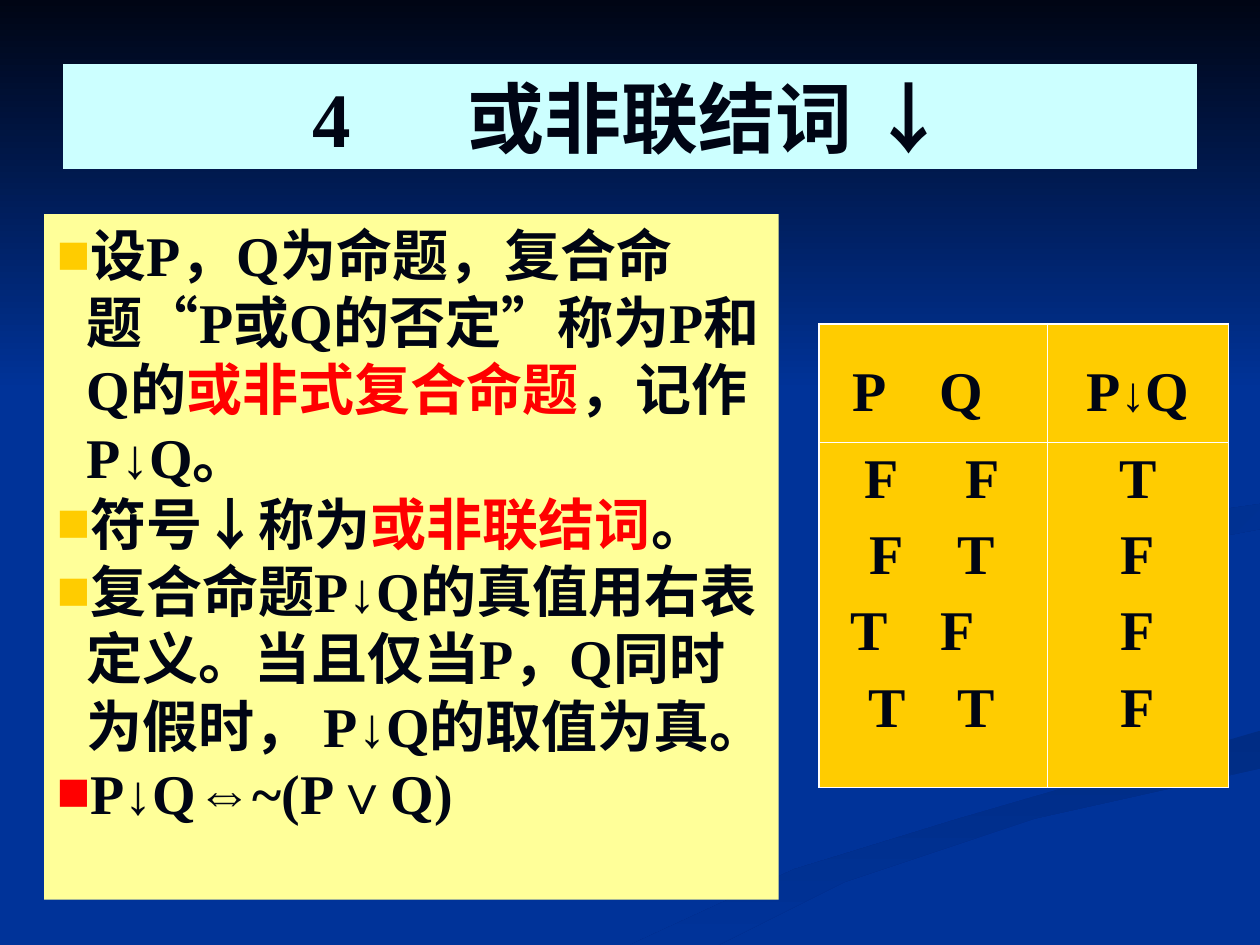
"""Build a slide that defines the NOR connective with its truth table."""
from lxml import etree
from pptx import Presentation
from pptx import util as u
from pptx.dml.color import RGBColor
from pptx.enum import text as t
from pptx.oxml import ns

CELL = u.Inches(0.1)
COLS, ROWS = 100, 75
SERIF, SANS = "Times New Roman", "Arial"
BLUE = RGBColor(0x00, 0x33, 0x99)
DEEP = RGBColor(0x00, 0x2C, 0x84)
INK = RGBColor(0x00, 0x05, 0x14)
RED = RGBColor(0xFF, 0x00, 0x00)
GOLD = RGBColor(0xFF, 0xCC, 0x00)
CREAM = RGBColor(0xFF, 0xFF, 0x99)
ICE = RGBColor(0xCC, 0xFF, 0xFF)
WHITE = RGBColor(0xFF, 0xFF, 0xFF)

BANDS = [
    (DEEP, 90, [(50, 75), (57, 75), (67, 70), (82, 65), (100, 61),
                (100, 58), (76, 65), (63, 69)]),
    (DEEP, 45, [(78, 46), (83, 50), (81, 47), (84, 45), (100, 42),
                (100, 40), (86, 42)]),
    (INK, 90, [(0, 0), (COLS, 0), (COLS, 31), (0, 31)]),
]

POINTS = [
    (GOLD, [("设P，Q为命题，复合命题“P或Q的否定”称为P和Q的", INK, SERIF),
            ("或非式复合命题", RED, SERIF), ("，记作P↓Q。", INK, SERIF)]),
    (GOLD, [("符号↓称为", INK, SERIF), ("或非联结词", RED, SERIF),
            ("。", INK, SERIF)]),
    (GOLD, [("复合命题P↓Q的真值用右表定义。当且仅当P，Q同时为假时，"
             " P↓Q的取值为真。", INK, SERIF)]),
    (RED, [("P↓Q", INK, SERIF), ("⇔", INK, SANS), ("~(P∨Q)", INK, SERIF)]),
]

INPUTS = [("F", "F", 4, 12), ("F", "T", 4.4, 11.5),
          ("T", "F", 3, 10), ("T", "T", 4.4, 11.5)]


def grid(num):
    """Turn grid cells into a length."""
    return u.Emu(round(num * CELL))


def child(node, tag, **attrs):
    """Append a drawing element with attributes."""
    item = etree.SubElement(node, ns.qn(tag))
    for key, val in attrs.items():
        item.set(key, str(val))
    return item


def write(para, words, color=INK, face=SERIF, size=32):
    """Add one bold run to a paragraph."""
    run = para.add_run()
    run.text = words
    font = run.font
    font.name, font.size, font.bold = face, u.Pt(size), True
    font.color.rgb = color
    return run


def band(slide, color, angle, spots):
    """Draw one background band that blends into the blue."""
    spots = [(grid(x), grid(y)) for x, y in spots]
    pen = slide.shapes.build_freeform(*spots[0], scale=1.0)
    pen.add_line_segments(spots[1:], close=True)
    shape = pen.convert_to_shape()
    shape.shadow.inherit = False
    shape.line.fill.background()
    shape.fill.gradient()
    shape.fill.gradient_angle = 360 - angle
    for place, stop in enumerate(shape.fill.gradient_stops):
        stop.color.rgb = BLUE if place else color
        stop.position = place


def panel(shape, color, box, anchor):
    """Place a filled placeholder in front and return its text frame."""
    shape.left, shape.top, shape.width, shape.height = map(grid, box)
    shape.fill.solid()
    shape.fill.fore_color.rgb = color
    shape.element.getparent().append(shape.element)
    frame = shape.text_frame
    frame.auto_size = t.MSO_AUTO_SIZE.NONE
    frame.word_wrap = True
    frame.vertical_anchor = anchor
    return frame


def head(shape):
    """Write the slide title."""
    frame = panel(shape, ICE, (5, 5.1, 90, 8.3), t.MSO_ANCHOR.MIDDLE)
    para = frame.paragraphs[0]
    para.alignment = t.PP_ALIGN.CENTER
    write(para, "4", size=44)
    gap = write(para, " ", size=44)
    gap.font._element.set("spc", "5600")
    write(para, "或非联结词 ↓", size=44)


def points(shape):
    """Write the bulleted definition."""
    frame = panel(shape, CREAM, (3.5, 17, 58.3, 54.4), t.MSO_ANCHOR.TOP)
    for row, (color, runs) in enumerate(POINTS):
        para = frame.add_paragraph() if row else frame.paragraphs[0]
        para.space_before = u.Pt(0)
        props = para._p.get_or_add_pPr()
        props.set("marL", str(grid(2.4)))
        props.set("indent", str(-grid(2.4)))
        child(child(props, "a:buClr"), "a:srgbClr", val=color)
        child(props, "a:buFont", typeface=SERIF)
        child(props, "a:buChar", char="■")
        for run in runs:
            write(para, *run)


def pair(para, left, right, first, second):
    """Centre two symbols on tab stops."""
    stops = child(para._p.get_or_add_pPr(), "a:tabLst")
    for place in (first, second):
        child(stops, "a:tab", pos=grid(place), algn="ctr")
    write(para, f"\t{left}\t{right}")


def border(cell, row, col):
    """Give a cell thick outer and thin inner edges, then its fill."""
    props = cell._tc.get_or_add_tcPr()
    outer = {"L": col == 0, "R": col == 1, "T": row == 0, "B": row == 1}
    for side, thick in outer.items():
        line = child(props, f"a:ln{side}", w=u.Pt(1.08 if thick else 0.45))
        child(child(line, "a:solidFill"), "a:srgbClr", val=WHITE)
    cell.fill.solid()
    cell.fill.fore_color.rgb = GOLD


def truth(slide):
    """Build the truth table."""
    table = slide.shapes.add_table(2, 2, *map(grid, (65, 25.7, 32.5, 36.8))).table
    table.first_row = table.horz_banding = False
    for col, wide in enumerate((18.1, 14.4)):
        table.columns[col].width = grid(wide)
    for row, high in enumerate((9.4, 27.4)):
        table.rows[row].height = grid(high)
        for col in range(2):
            border(table.cell(row, col), row, col)
    pair(table.cell(0, 0).text_frame.paragraphs[0], "P", "Q", 3, 10.3)
    para = table.cell(0, 1).text_frame.paragraphs[0]
    para.alignment = t.PP_ALIGN.CENTER
    for words, size in (("P", 32), ("↓", 28), ("Q", 32)):
        write(para, words, size=size)
    for col in range(2):
        table.cell(0, col).text_frame.paragraphs[0].line_spacing = 1.5
        frame = table.cell(1, col).text_frame
        for row, places in enumerate(INPUTS):
            para = frame.add_paragraph() if row else frame.paragraphs[0]
            para.space_before = u.Pt(8 if row else 0)
            if col:
                para.alignment = t.PP_ALIGN.CENTER
                write(para, "F" if row else "T")
            else:
                pair(para, *places)


def main():
    """Assemble and save the slide."""
    deck = Presentation()
    deck.slide_width, deck.slide_height = grid(COLS), grid(ROWS)
    slide = deck.slides.add_slide(deck.slide_layouts[1])
    slide.background.fill.solid()
    slide.background.fill.fore_color.rgb = BLUE
    for item in BANDS:
        band(slide, *item)
    points(slide.placeholders[1])
    head(slide.shapes.title)
    truth(slide)
    deck.save("out.pptx")


if __name__ == "__main__":
    main()
